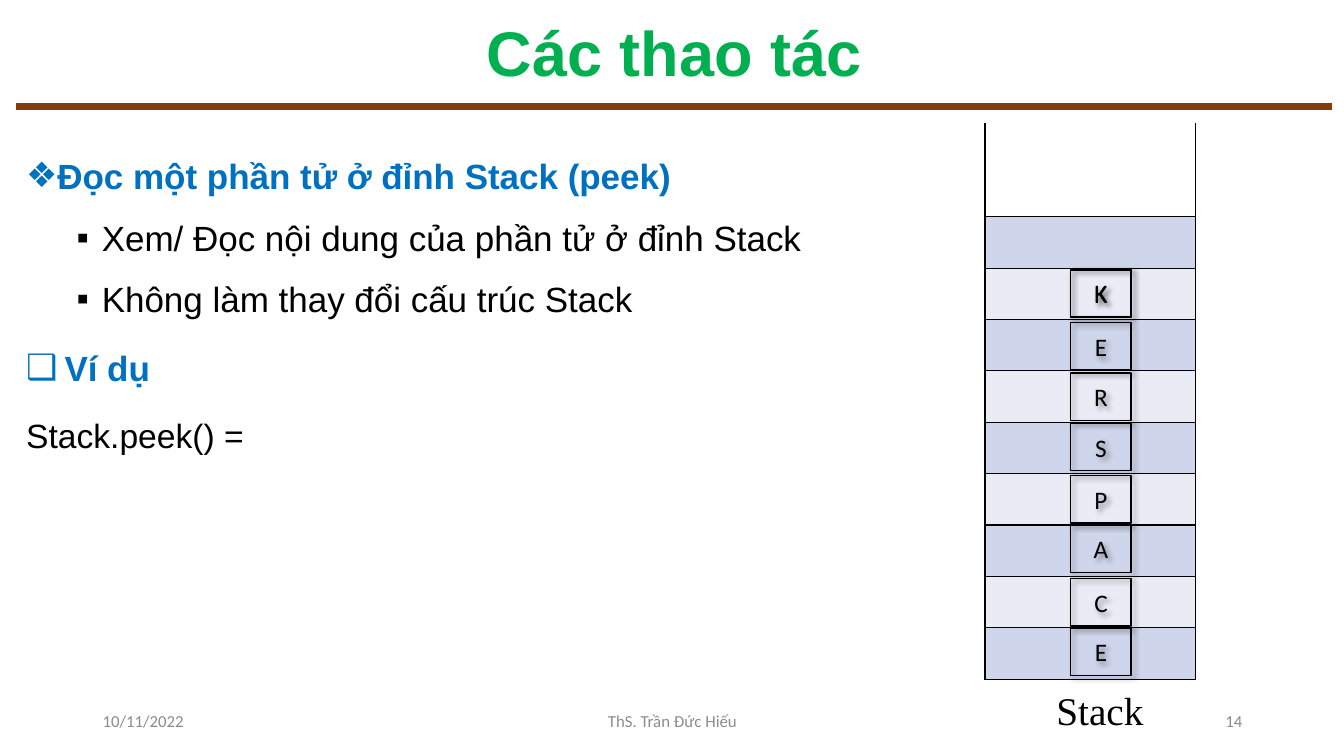
from lxml import etree
from pptx import Presentation
from pptx import util as u
from pptx.dml.color import RGBColor
from pptx.enum import shapes, text
from pptx.oxml import parse_xml
from pptx.oxml.ns import nsdecls, qn

rgb = RGBColor.from_string
LEFT, CENTER, RIGHT = text.PP_ALIGN.LEFT, text.PP_ALIGN.CENTER, text.PP_ALIGN.RIGHT


def px(*lengths):
    return [u.Emu(length * 9144) for length in lengths]


def write(para, words, font, size, color, bold=False, align=LEFT):
    para.text = words
    para.alignment = align
    para.font.name = font
    para.font.size = u.Pt(size)
    para.font.bold = bold
    para.font.color.rgb = rgb(color)


deck = Presentation()
deck.slide_width, deck.slide_height = px(1333, 750)
page = deck.slides.add_slide(deck.slide_layouts[1])

title, body = page.placeholders
title.left, title.top, title.width, title.height = px(16, 15, 1305, 81)
title.text_frame.auto_size = text.MSO_AUTO_SIZE.NONE
title.text_frame.vertical_anchor = text.MSO_ANCHOR.MIDDLE
heading = title.text_frame.paragraphs[0]
heading.line_spacing = 0.9
write(heading, "Các thao tác", "Arial", 45, "00B050", True, CENTER)

rule = page.shapes.add_connector(shapes.MSO_CONNECTOR.STRAIGHT, *px(16, 106, 1321, 106))
rule.line.color.rgb = rgb("843C0B")
rule.line.width = u.Pt(5)
etree.SubElement(rule._element.spPr, qn("a:effectLst"))

body.left, body.top, body.width, body.height = px(16, 136, 1305, 605)
frame = body.text_frame
frame.auto_size = text.MSO_AUTO_SIZE.NONE
points = [
    ("Đọc một phần tử ở đỉnh Stack (peek)", 0, "❖", 25, 25, 10, 25, "0070C0", True),
    ("Xem/ Đọc nội dung của phần tử ở đỉnh Stack", 1, "▪", 75, 25, 5, 25, "000000", False),
    ("Không làm thay đổi cấu trúc Stack", 1, "▪", 75, 25, 5, 25, "000000", False),
    ("Ví dụ", 1, "❑", 38, 38, 10, 25, "0070C0", True),
    ("Stack.peek() =", 1, None, 0, 0, 10, 24, "000000", False),
]
for index, (words, level, bullet, margin, hang, before, size, color, bold) in enumerate(points):
    para = frame.add_paragraph() if index else frame.paragraphs[0]
    para.level = level
    para.line_spacing = 1.3
    para.space_before = u.Pt(before)
    props = para._p.get_or_add_pPr()
    left, indent = px(margin, -hang)
    props.set("marL", str(left))
    props.set("indent", str(indent))
    if bullet:
        etree.SubElement(props, qn("a:buChar")).set("char", bullet)
    else:
        etree.SubElement(props, qn("a:buNone"))
    write(para, words, "Arial", size, color, bold)

labels = [
    ("10/11/2022", (92, 695, 300, 40), "Calibri", 12, "8C8C8C", LEFT),
    ("ThS. Trần Đức Hiếu", (442, 695, 450, 40), "Calibri", 12, "8C8C8C", CENTER),
    ("14", (942, 695, 300, 40), "Calibri", 12, "8C8C8C", RIGHT),
    ("Stack", (1038, 676, 107, 57), "Times New Roman", 28, "000000", LEFT),
]
for words, place, font, size, color, align in labels:
    box = page.shapes.add_textbox(*px(*place))
    box.text_frame.word_wrap = True
    box.text_frame.vertical_anchor = text.MSO_ANCHOR.MIDDLE
    write(box.text_frame.paragraphs[0], words, font, size, color, align=align)

table = page.shapes.add_table(10, 1, *px(977, 122, 209, 552)).table
table.first_row = False
table.horz_banding = False
for index, row in enumerate(table.rows):
    row.height = px(51 if index else 93)[0]
    cell = row.cells[0]
    for side in ("L", "R", "T", "B"):
        hidden = index == 0 and side == "T"
        paint = "<a:noFill/>" if hidden else '<a:solidFill><a:srgbClr val="000000"/></a:solidFill>'
        cell._tc.get_or_add_tcPr().append(
            parse_xml(f'<a:ln{side} {nsdecls("a")} w="12700">{paint}</a:ln{side}>'))
    if index:
        cell.fill.solid()
        cell.fill.fore_color.rgb = rgb("CFD5EA" if index % 2 else "E9EBF5")
    else:
        cell.fill.background()

SHADOW = (f'<a:outerShdw {nsdecls("a")} blurRad="50800" dist="38100" dir="2700000">'
          '<a:srgbClr val="000000"><a:alpha val="40000"/></a:srgbClr></a:outerShdw>')
letter_tops = (268, 320, 370, 420, 472, 521, 574, 623, 267)
for letter, top in zip("KERSPACEK", letter_tops):
    box = page.shapes.add_shape(shapes.MSO_SHAPE.RECTANGLE, *px(1062, top, 60, 47))
    box.fill.background()
    box.line.color.rgb = rgb("000000")
    box.line.width = u.Pt(1)
    box.shadow.inherit = False
    box._element.spPr.find(qn("a:effectLst")).append(parse_xml(SHADOW))
    box.text_frame.vertical_anchor = text.MSO_ANCHOR.MIDDLE
    write(box.text_frame.paragraphs[0], letter, "Calibri", 18, "000000", align=CENTER)

deck.save("out.pptx")
